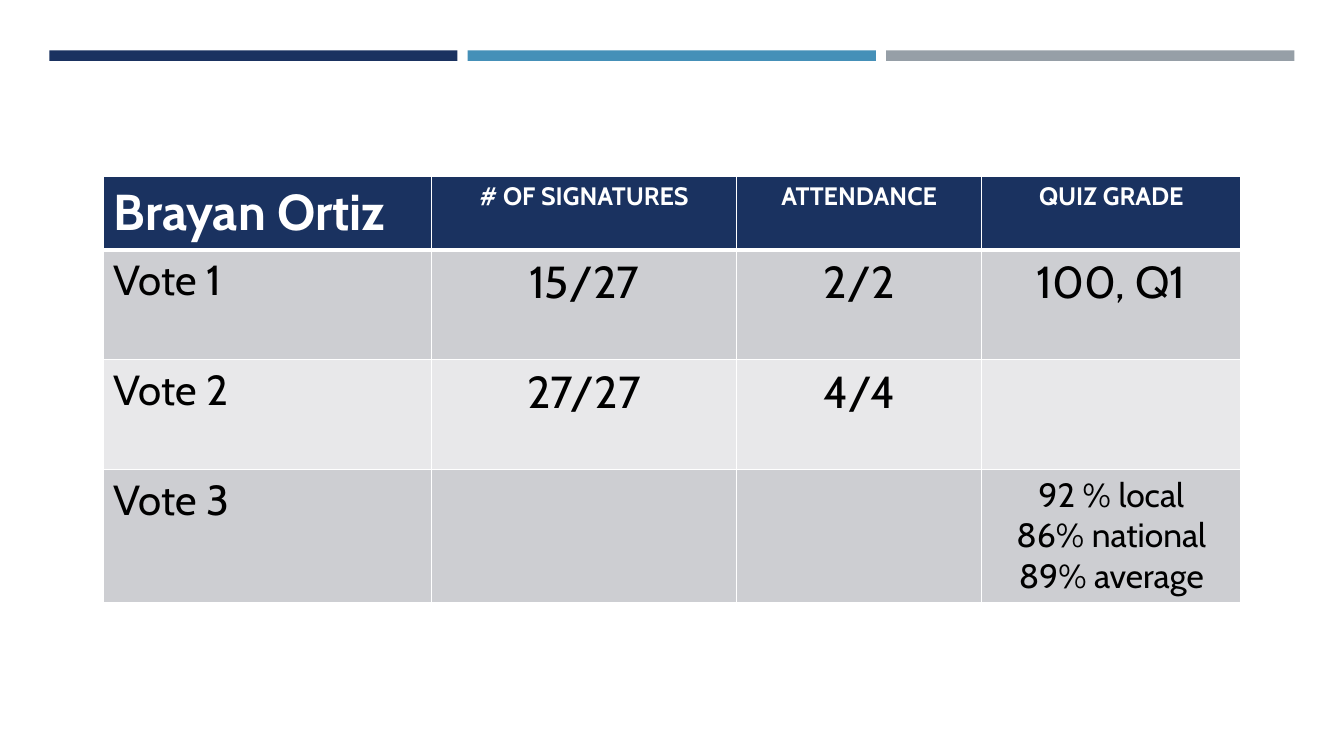
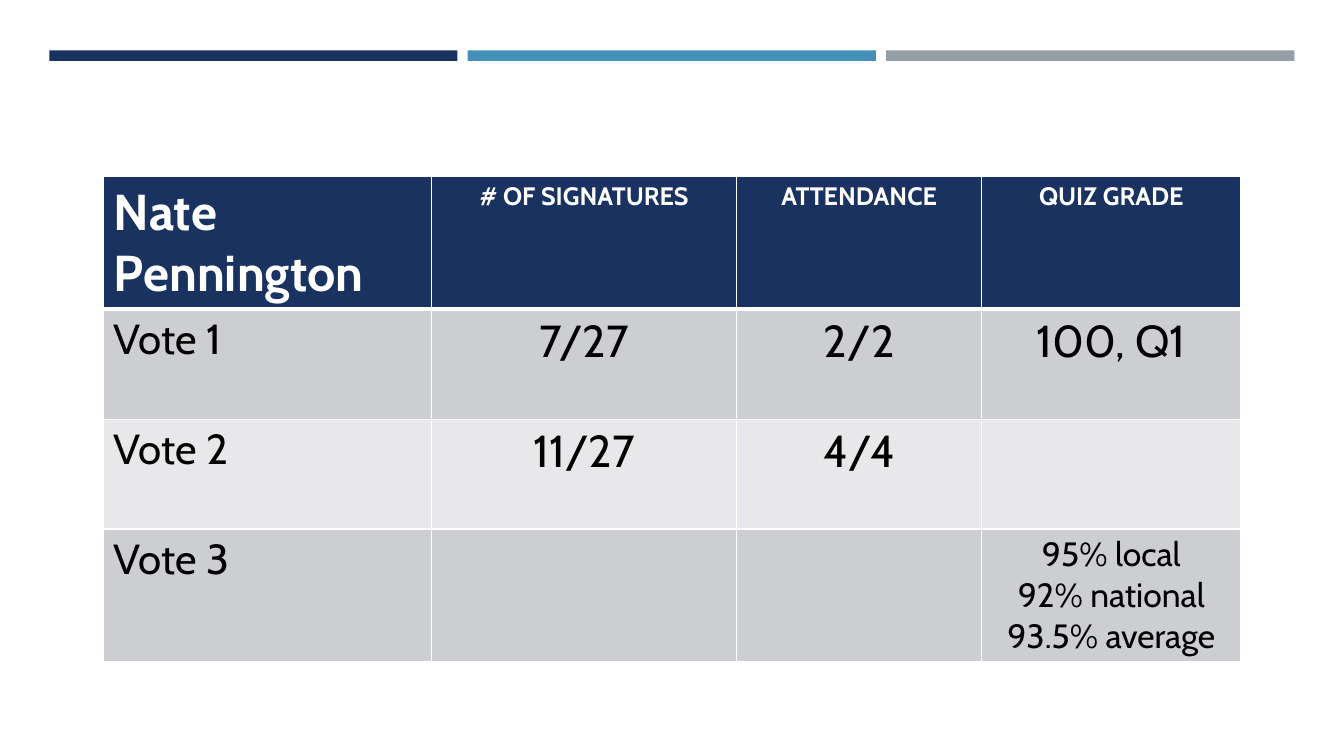
"""Build two vote record slides, one table per person."""
from dataclasses import dataclass

from lxml import etree
from pptx import Presentation
from pptx.dml.color import RGBColor
from pptx.enum import shapes, text
from pptx.oxml import ns
from pptx.util import Pt


@dataclass(frozen=True)
class Theme:
    """Hold the colours and type sizes that the slides share."""
    font: str = "Cabin"
    navy: str = "1A3260"
    blue: str = "4590B8"
    grey: str = "969FA7"
    white: str = "FFFFFF"
    black: str = "000000"
    odd_row: str = "CDCED2"
    even_row: str = "E8E8EA"
    name_size: int = 36
    heading_size: int = 18
    vote_size: int = 30
    score_size: int = 32
    grade_size: int = 24
    rule: int = 1
    header_rule: int = 3


THEME = Theme()
HEADINGS = ["# OF SIGNATURES", "ATTENDANCE", "QUIZ GRADE"]
COLUMN_WIDTHS = [234, 218, 175, 185.2]
VOTE_HEIGHTS = [78.5, 78.5, 94]


def add_bands(slide):
    """Draw the three coloured bands across the top."""
    for index, colour in enumerate([THEME.navy, THEME.blue, THEME.grey]):
        band = slide.shapes.add_shape(
            shapes.MSO_SHAPE.RECTANGLE,
            Pt(35.2 + index * 298.9), Pt(36), Pt(291.6), Pt(7.6))
        band.shadow.inherit = False
        band.fill.solid()
        band.fill.fore_color.rgb = RGBColor.from_string(colour)
        band.line.fill.background()


def add_border(cell, side, width):
    """Rule one side of a cell in white."""
    border = etree.Element(ns.qn(f"a:ln{side}"), w=str(Pt(width)))
    fill = etree.SubElement(border, ns.qn("a:solidFill"))
    etree.SubElement(fill, ns.qn("a:srgbClr"), val=THEME.white)
    cell_format = cell._tc.get_or_add_tcPr()
    cell_format.insert("LRTB".index(side), border)


def style_cell(cell, row):
    """Give a cell the fill and borders of its row."""
    fill = THEME.navy if row == 0 else (THEME.even_row, THEME.odd_row)[row % 2]
    cell.fill.solid()
    cell.fill.fore_color.rgb = RGBColor.from_string(fill)
    widths = {
        "L": THEME.rule,
        "R": THEME.rule,
        "T": THEME.header_rule if row == 1 else THEME.rule,
        "B": THEME.header_rule if row == 0 else THEME.rule,
    }
    for side, width in widths.items():
        add_border(cell, side, width)


def write_cell(cell, lines, size, is_header, centred):
    """Write each line as a paragraph of the cell."""
    frame = cell.text_frame
    for index, line in enumerate(lines):
        paragraph = frame.add_paragraph() if index else frame.paragraphs[0]
        if centred:
            paragraph.alignment = text.PP_ALIGN.CENTER
        run = paragraph.add_run()
        run.text = line
        run.font.name = THEME.font
        run.font.size = Pt(size)
        run.font.bold = is_header
        colour = THEME.white if is_header else THEME.black
        run.font.color.rgb = RGBColor.from_string(colour)


def text_size(row, column, lines):
    """Choose the type size for a place in the table."""
    if row == 0:
        return THEME.heading_size if column else THEME.name_size
    if column == 0:
        return THEME.vote_size
    return THEME.grade_size if len(lines) > 1 else THEME.score_size


def add_record(slide, person, header_height, votes):
    """Add the table of signatures, attendance and grades."""
    records = [[person, *HEADINGS]]
    records += [[f"Vote {number}", *vote] for number, vote in enumerate(votes, 1)]
    heights = [header_height, *VOTE_HEIGHTS]
    table = slide.shapes.add_table(
        len(records), len(COLUMN_WIDTHS), Pt(74.2), Pt(126),
        Pt(sum(COLUMN_WIDTHS)), Pt(sum(heights))).table
    for column, width in zip(table.columns, COLUMN_WIDTHS):
        column.width = Pt(width)
    for row, (record, height) in enumerate(zip(records, heights)):
        table.rows[row].height = Pt(height)
        for column, content in enumerate(record):
            cell = table.cell(row, column)
            style_cell(cell, row)
            lines = content.split("\n") if content else []
            size = text_size(row, column, lines)
            write_cell(cell, lines, size, row == 0, column > 0)


def main():
    """Build and save the presentation."""
    people = [
        ("Brayan Ortiz", 52.5, [
            ("15/27", "2/2", "100, Q1"),
            ("27/27", "4/4", ""),
            ("", "", "92 % local\n86% national\n89% average"),
        ]),
        ("Nate Pennington", 93, [
            ("7/27", "2/2", "100, Q1"),
            ("11/27", "4/4", ""),
            ("", "", "95% local\n92% national\n93.5% average"),
        ]),
    ]
    deck = Presentation()
    deck.slide_width, deck.slide_height = Pt(960), Pt(540)
    for person, header_height, votes in people:
        slide = deck.slides.add_slide(deck.slide_layouts[6])
        add_bands(slide)
        add_record(slide, person, header_height, votes)
    deck.save("out.pptx")


if __name__ == "__main__":
    main()
